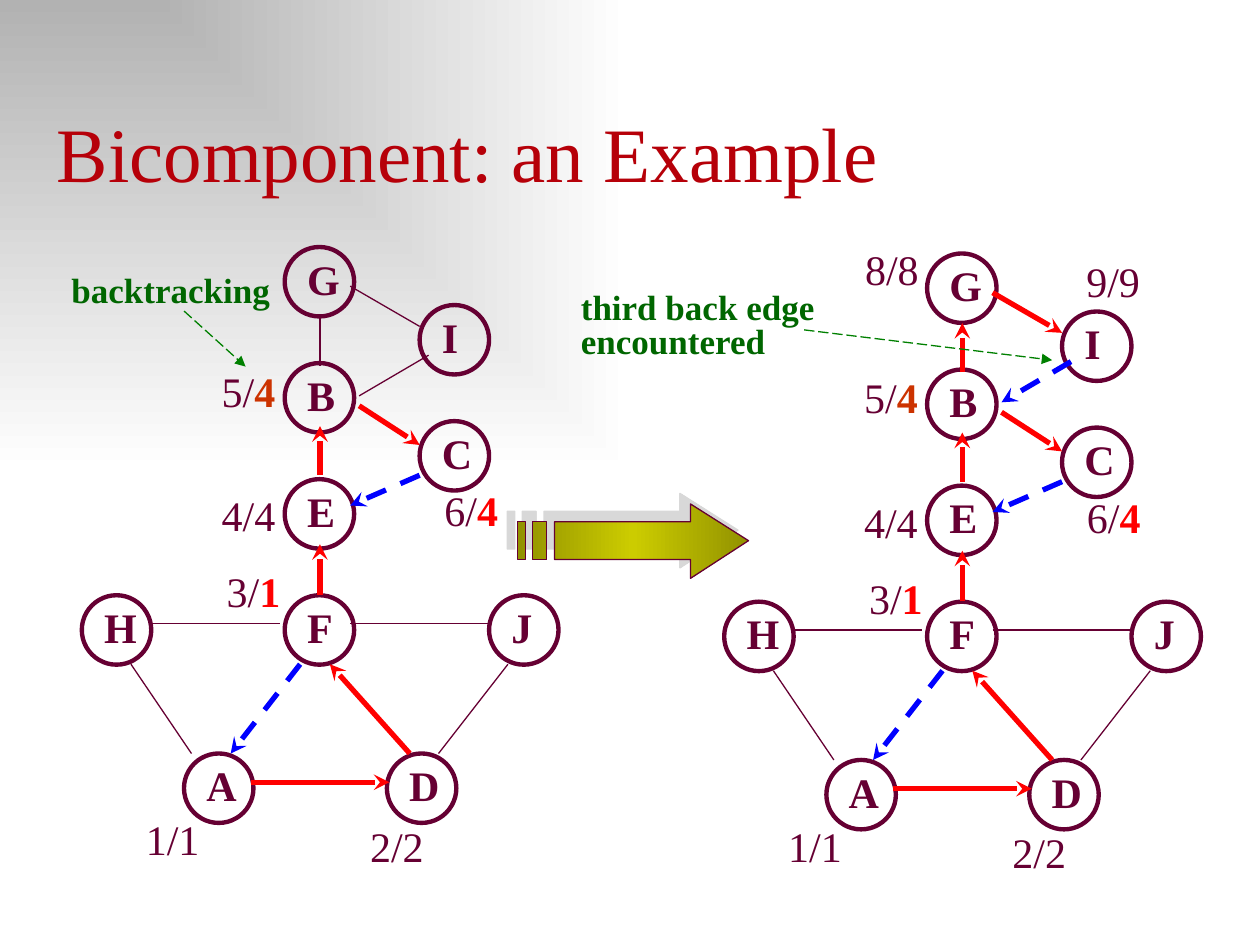
from typing import NamedTuple

from pptx import Presentation
from pptx.dml.color import RGBColor
from pptx.enum.dml import MSO_LINE as Dash
from pptx.enum.shapes import MSO_CONNECTOR as Conn, MSO_SHAPE as Form
from pptx.enum.text import MSO_ANCHOR as Anchor, MSO_AUTO_SIZE as Fit, PP_ALIGN as Align
from pptx.oxml import parse_xml
from pptx.oxml.ns import nsdecls
from pptx.util import Cm, Pt

FONT = "Times New Roman"
PLUM = RGBColor(0x66, 0x00, 0x33)
CRIMSON = RGBColor(0xB6, 0x00, 0x09)
RED = RGBColor(0xFF, 0x00, 0x00)
RUST = RGBColor(0xCC, 0x33, 0x00)
BLUE = RGBColor(0x00, 0x00, 0xFF)
GREEN = RGBColor(0x00, 0x80, 0x00)
DARK = RGBColor(0x00, 0x66, 0x00)
GRAY = RGBColor(0xB2, 0xB2, 0xB2)
WHITE = RGBColor(0xFF, 0xFF, 0xFF)
OLIVE = RGBColor(0x92, 0x92, 0x00)
LIME = RGBColor(0xCC, 0xCC, 0x00)


class Style(NamedTuple):
    color: RGBColor
    width: float
    head: str = ""
    dash: Dash | None = None


class Node(NamedTuple):
    name: str
    x: float
    y: float


class Edge(NamedTuple):
    x1: float
    y1: float
    x2: float
    y2: float
    style: Style


class Label(NamedTuple):
    x: float
    y: float
    num: str
    low: str = ""  # bold, coloured part
    color: RGBColor = RED


PLAIN = Style(PLUM, 0.75)
TREE = Style(RED, 3, "stealth")
BACK = Style(BLUE, 3, "stealth", Dash.DASH)
HINT = Style(GREEN, 0.75, "triangle", Dash.LONG_DASH)

SIZE, TOP, STEP = 1.4, 4.98, 1.17
MID, SIDE, BASE = 5.74, 8.46, 15.19
ROW = [TOP + i * STEP for i in range(7)]
NODES = [
    Node("G", MID, ROW[0]), Node("I", SIDE, ROW[1]),
    Node("B", MID, ROW[2]), Node("C", SIDE, ROW[3]),
    Node("E", MID, ROW[4]), Node("F", MID, ROW[6]),
    Node("H", 1.65, ROW[6]), Node("J", 9.86, ROW[6]),
    Node("A", 3.71, BASE), Node("D", 7.8, BASE),
]
# Edges and labels that both graphs share
EDGES = [
    Edge(6.45, 9.58, 6.45, 8.59, TREE),
    Edge(7.24, 8.18, 8.46, 8.97, TREE),
    Edge(8.46, 9.58, 7.06, 10.19, BACK),
    Edge(6.45, 11.99, 6.45, 10.97, TREE),
    Edge(3.05, 12.57, 5.64, 12.57, PLAIN),
    Edge(7.06, 12.57, 9.86, 12.57, PLAIN),
    Edge(2.64, 13.39, 3.86, 15.19, PLAIN),
    Edge(5.05, 15.77, 7.85, 15.77, TREE),
    Edge(8.84, 15.19, 10.24, 13.39, PLAIN),
    Edge(6.05, 13.39, 4.65, 15.19, BACK),
    Edge(8.26, 15.19, 6.65, 13.39, TREE),
]
LABELS = [
    Label(2.69, 16.28, "1/1"), Label(7.21, 16.41, "2/2"),
    Label(4.32, 11.28, "3/", "1"), Label(4.22, 9.75, "4/4"),
    Label(4.22, 7.24, "5/", "4", RUST), Label(8.71, 9.65, "6/", "4"),
]
NEW = [Label(4.24, 4.65, "8/8"), Label(8.7, 4.9, "9/9")]


def loop(bg: Style, gi: Style, ib: Style) -> list[Edge]:
    """Edges B-G, G-I and I-B, whose state differs between the graphs."""
    return [
        Edge(6.45, 7.37, 6.45, 6.38, bg),
        Edge(7.06, 5.77, 8.46, 6.58, gi),
        Edge(8.64, 7.16, 7.24, 7.98, ib),
    ]


def grad(stops: list[tuple[int, RGBColor]], way: str) -> str:
    marks = "".join(
        f'<a:gs pos="{pos * 1000}"><a:srgbClr val="{color}"/></a:gs>' for pos, color in stops
    )
    return f'<a:gradFill {nsdecls("a")} rotWithShape="1"><a:gsLst>{marks}</a:gsLst>{way}</a:gradFill>'


def add_run(para, text: str, size: float, color: RGBColor, bold: bool = False) -> None:
    run = para.add_run()
    run.text = text
    font = run.font
    font.name, font.size, font.bold = FONT, Pt(size), bold
    font.color.rgb = color


def add_box(shapes, x: float, y: float, w: float, h: float):
    frame = shapes.add_textbox(Cm(x), Cm(y), Cm(w), Cm(h)).text_frame
    frame.word_wrap = True
    frame.auto_size = Fit.SHAPE_TO_FIT_TEXT
    return frame


def add_node(slide, node: Node) -> None:
    group = slide.shapes.add_group_shape()
    ring = group.shapes.add_shape(Form.OVAL, Cm(node.x), Cm(node.y), Cm(SIZE), Cm(SIZE))
    ring.shadow.inherit = False
    ring.fill.background()
    ring.line.color.rgb, ring.line.width = PLUM, Pt(2.5)
    frame = add_box(group.shapes, node.x + 0.2, node.y, 1.2, 1.27)
    add_run(frame.paragraphs[0], node.name, 24, PLUM, True)


def add_edge(slide, edge: Edge) -> None:
    link = slide.shapes.add_connector(
        Conn.STRAIGHT, Cm(edge.x1), Cm(edge.y1), Cm(edge.x2), Cm(edge.y2)
    )
    style, line = edge.style, link.line
    line.color.rgb, line.width = style.color, Pt(style.width)
    if style.dash:
        line.dash_style = style.dash
    if style.head:
        line._get_or_add_ln().append(
            parse_xml(f'<a:tailEnd {nsdecls("a")} type="{style.head}"/>')
        )
    link._element.spPr.append(parse_xml(f'<a:effectLst {nsdecls("a")}/>'))


def add_label(slide, label: Label) -> None:
    para = add_box(slide.shapes, label.x, label.y, 3.76, 1.27).paragraphs[0]
    add_run(para, label.num, 24, PLUM)
    if label.low:
        add_run(para, label.low, 24, label.color, True)


def add_graph(slide, dx: float, dy: float, edges: list[Edge], labels: list[Label]) -> None:
    for node in NODES:
        add_node(slide, node._replace(x=node.x + dx, y=node.y + dy))
    for e in edges:
        add_edge(slide, Edge(e.x1 + dx, e.y1 + dy, e.x2 + dx, e.y2 + dy, e.style))
    for label in labels:
        add_label(slide, label._replace(x=label.x + dx, y=label.y + dy))


def add_note(slide, x: float, y: float, h: float, lines: list[str], hint: Edge) -> None:
    frame = add_box(slide.shapes, x, y, 11, h)
    for i, text in enumerate(lines):
        para = frame.add_paragraph() if i else frame.paragraphs[0]
        if i:
            para.line_spacing = 0.8
        add_run(para, text, 20, DARK, True)
    add_edge(slide, hint)


def add_arrow(slide) -> None:
    """Striped arrow from the left graph to the right one."""
    top, low, neck = 10.52, 11.28, 13.92
    build = slide.shapes.build_freeform(Cm(neck), Cm(10.16), scale=1.0)
    tip = [(neck, top), (11.18, top), (11.18, low), (neck, low), (neck, 11.66), (15.09, 10.9)]
    build.add_line_segments([(Cm(x), Cm(y)) for x, y in tip], close=True)
    for left, right in [(10.74, 11.02), (10.44, 10.59)]:
        build.move_to(Cm(left), Cm(top))
        bar = [(left, low), (right, low), (right, top)]
        build.add_line_segments([(Cm(x), Cm(y)) for x, y in bar], close=True)
    arrow = build.convert_to_shape()
    arrow.line.color.rgb, arrow.line.width = PLUM, Pt(0.75)
    props = arrow._element.spPr
    fill = grad([(0, OLIVE), (50, LIME), (100, OLIVE)], '<a:lin ang="0" scaled="1"/>')
    props.find("{*}custGeom").addnext(parse_xml(fill))
    props.append(parse_xml(
        f'<a:effectLst {nsdecls("a")}><a:outerShdw dist="{Pt(8.5)}" dir="13500000">'
        f'<a:srgbClr val="{GRAY}"><a:alpha val="50000"/></a:srgbClr>'
        "</a:outerShdw></a:effectLst>"
    ))


def add_title(slide, text: str) -> None:
    title = slide.shapes.title
    title.left, title.top, title.width, title.height = Cm(0.89), Cm(2), Cm(24), Cm(2.11)
    frame = title.text_frame
    frame.vertical_anchor, frame.auto_size = Anchor.BOTTOM, Fit.SHAPE_TO_FIT_TEXT
    frame.paragraphs[0].alignment = Align.LEFT
    add_run(frame.paragraphs[0], text, 44, CRIMSON)


def set_back(slide) -> None:
    way = '<a:path path="rect"><a:fillToRect r="100000" b="100000"/></a:path>'
    fill = grad([(0, GRAY), (100, WHITE)], way)
    slide.element.cSld.insert(0, parse_xml(
        f'<p:bg {nsdecls("p", "a")}><p:bgPr>{fill}<a:effectLst/></p:bgPr></p:bg>'
    ))


def main() -> None:
    deck = Presentation()
    deck.slide_width, deck.slide_height = Cm(25.4), Cm(19.05)
    slide = deck.slides.add_slide(deck.slide_layouts[5])
    set_back(slide)
    add_title(slide, "Bicomponent: an Example")
    add_graph(slide, 0, 0, loop(PLAIN, PLAIN, PLAIN) + EDGES, LABELS)
    add_note(slide, 1.19, 5.28, 1.09, ["backtracking"], Edge(3.71, 6.27, 4.95, 7.39, HINT))
    add_graph(slide, 12.95, 0.13, loop(TREE, TREE, BACK) + EDGES, LABELS + NEW)
    add_note(slide, 11.46, 5.64, 1.78, ["third back edge", "encountered"],
             Edge(16.21, 6.65, 21.21, 7.26, HINT))
    add_arrow(slide)
    deck.save("out.pptx")


if __name__ == "__main__":
    main()
